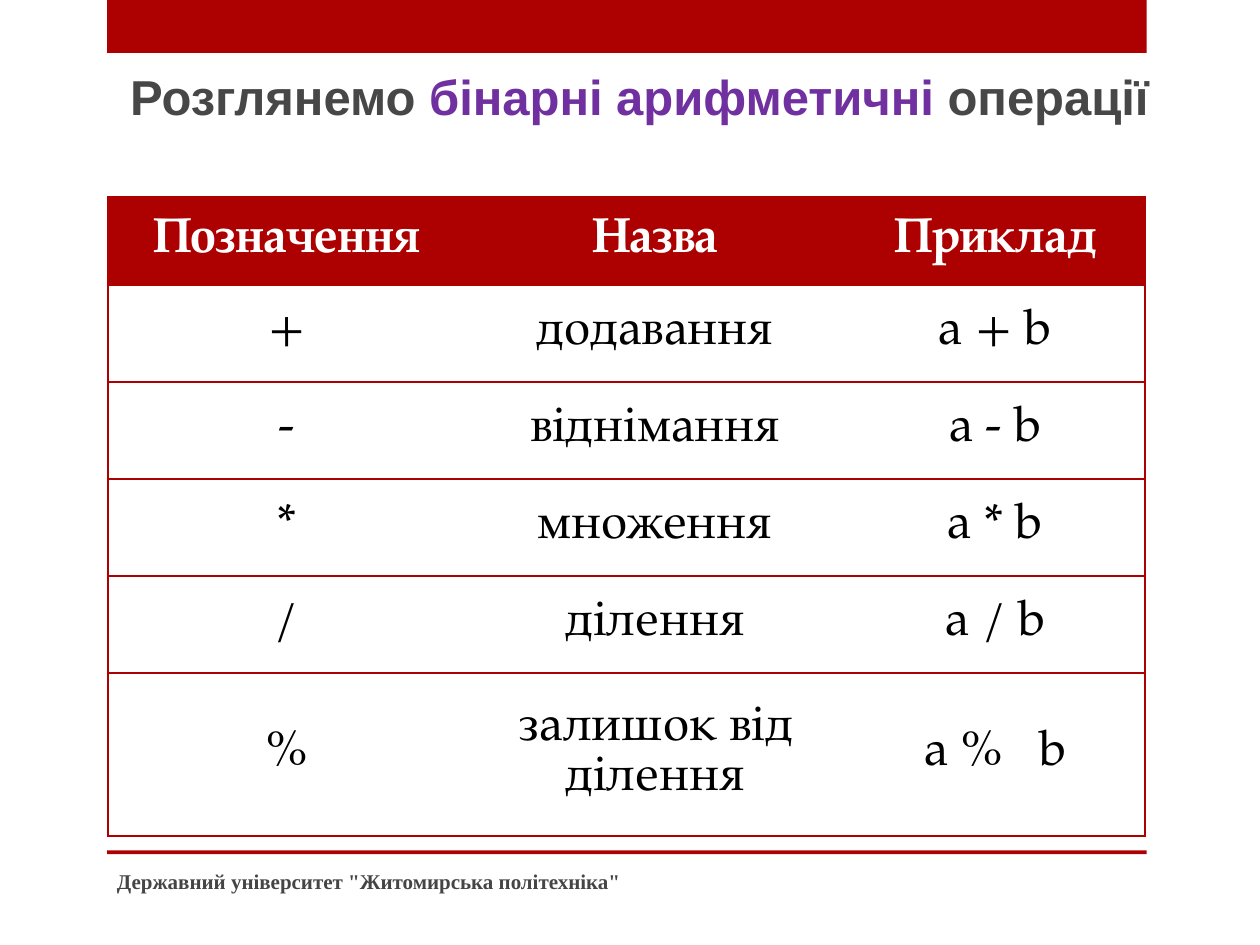
from pptx import Presentation
from pptx.dml.color import RGBColor
from pptx.enum.shapes import MSO_SHAPE
from pptx.enum.text import MSO_ANCHOR, PP_ALIGN
from pptx.oxml.ns import qn
from pptx.util import Inches, Pt
from lxml.etree import SubElement

RED = RGBColor(0xAD, 0x01, 0x01)
PURPLE = RGBColor(0x70, 0x30, 0xA0)
TITLE_GRAY = RGBColor(0x47, 0x47, 0x47)
FOOTER_GRAY = RGBColor(0x45, 0x45, 0x45)
WHITE = RGBColor(0xFF, 0xFF, 0xFF)
BLACK = RGBColor(0, 0, 0)

OPERATIONS = [
    ("Позначення", "Назва", "Приклад"),
    ("+", "додавання", "a + b"),
    ("-", "віднімання", "a - b"),
    ("*", "множення", "a * b"),
    ("/", "ділення", "a / b"),
    ("%", "залишок від ділення", "a %   b"),
]
COLUMN_WIDTHS = [2.83, 3.02, 2.38]
ROW_HEIGHTS = [0.7] + [0.77] * 4 + [1.3]


def add_bar(s, top, height):
    bar = s.shapes.add_shape(MSO_SHAPE.RECTANGLE, Inches(0.85), Inches(top),
                             Inches(8.25), Inches(height))
    bar.shadow.inherit = False
    bar.fill.solid()
    bar.fill.fore_color.rgb = RED
    bar.line.fill.background()


def add_run(p, text, font, size, color, bold=True):
    r = p.add_run()
    r.text = text
    r.font.name = font
    r.font.size = Pt(size)
    r.font.bold = bold
    r.font.color.rgb = color


def add_text_box(s, left, top, width, height, anchor):
    tf = s.shapes.add_textbox(Inches(left), Inches(top),
                              Inches(width), Inches(height)).text_frame
    tf.word_wrap = True
    tf.vertical_anchor = anchor
    return tf


def add_title(s):
    tf = add_text_box(s, 0.74, 0.53, 8.62, 1.02, MSO_ANCHOR.TOP)
    p = tf.paragraphs[0]
    p.alignment = PP_ALIGN.CENTER
    p.line_spacing = 0.9
    p._p.get_or_add_pPr().set("marL", str(Inches(0.05)))
    for text, color in [("Розглянемо ", TITLE_GRAY),
                        ("бінарні арифметичні", PURPLE),
                        (" операції", TITLE_GRAY)]:
        add_run(p, text, "Arial", 28, color)


def add_footer(s):
    tf = add_text_box(s, 0.83, 6.79, 5.33, 0.4, MSO_ANCHOR.MIDDLE)
    add_run(tf.paragraphs[0], 'Державний університет "Житомирська політехніка"',
            "Times New Roman", 12, FOOTER_GRAY)


def set_borders(cell, visible):
    """Draw red lines on the visible sides (of L, R, T, B) and clear the others."""
    tcPr = cell._tc.get_or_add_tcPr()
    for side in "LRTB":
        ln = SubElement(tcPr, qn(f"a:ln{side}"), w=str(Pt(1.25)))
        if side in visible:
            fill = SubElement(ln, qn("a:solidFill"))
            SubElement(fill, qn("a:srgbClr"), val=str(RED))
        else:
            SubElement(ln, qn("a:noFill"))


def fill_cell(cell, text, is_header, borders):
    set_borders(cell, borders)
    if is_header:
        cell.fill.solid()
        cell.fill.fore_color.rgb = RED
    else:
        cell.fill.background()
    cell.vertical_anchor = MSO_ANCHOR.MIDDLE
    p = cell.text_frame.paragraphs[0]
    p.alignment = PP_ALIGN.CENTER
    add_run(p, text, "TeX Gyre Pagella", 28, WHITE if is_header else BLACK, is_header)


def add_operations_table(s):
    table = s.shapes.add_table(len(OPERATIONS), len(COLUMN_WIDTHS),
                               Inches(0.86), Inches(1.56),
                               Inches(sum(COLUMN_WIDTHS)),
                               Inches(sum(ROW_HEIGHTS))).table
    table.horz_banding = False
    for column, width in zip(table.columns, COLUMN_WIDTHS):
        column.width = Inches(width)
    for row, height in zip(table.rows, ROW_HEIGHTS):
        row.height = Inches(height)
    side_borders = ["L", "", "R"]
    for i, texts in enumerate(OPERATIONS):
        for j, text in enumerate(texts):
            fill_cell(table.cell(i, j), text, i == 0, "TB" + side_borders[j])


def main():
    prs = Presentation()
    prs.slide_width = Inches(10)
    prs.slide_height = Inches(7.5)
    s = prs.slides.add_slide(prs.slide_layouts[6])
    add_bar(s, 0, 0.42)
    add_bar(s, 6.75, 0.03)
    add_title(s)
    add_operations_table(s)
    add_footer(s)
    prs.save("out.pptx")


if __name__ == "__main__":
    main()
